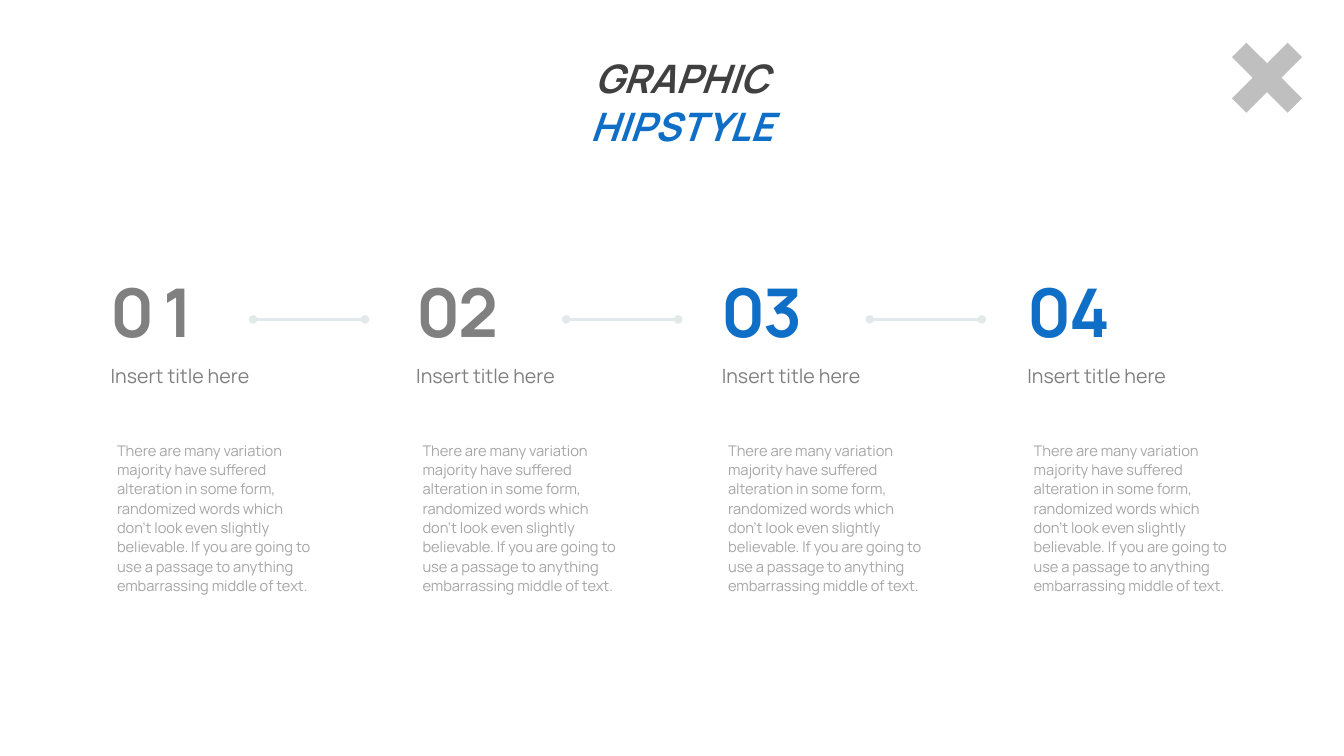
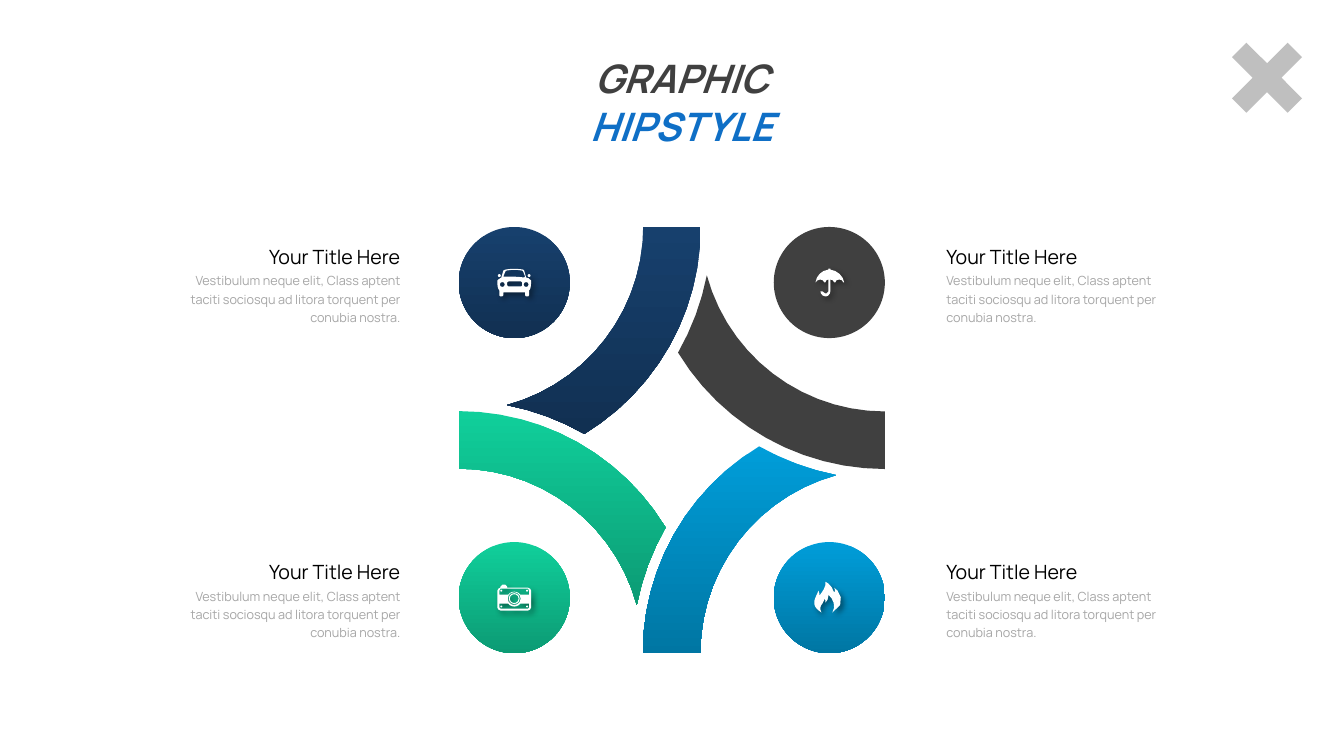
from dataclasses import dataclass
from math import acos, cos, degrees, dist, radians, sin

from lxml.etree import SubElement
from pptx import Presentation
from pptx.dml.color import RGBColor
from pptx.enum.shapes import MSO_CONNECTOR, MSO_SHAPE
from pptx.enum.text import MSO_ANCHOR, MSO_AUTO_SIZE, PP_ALIGN
from pptx.oxml.ns import qn
from pptx.util import Cm, Pt


@dataclass(frozen=True)
class Theme:
    font: str = "Manrope"
    black: str = "000000"
    charcoal: str = "404040"
    gray: str = "808080"
    body: str = "A6A6A6"
    mark: str = "BFBFBF"
    line: str = "E1E9EA"
    white: str = "FFFFFF"
    accent: str = "0F6FC6"
    navy: tuple = ("17406D", "113052")
    green: tuple = ("10CF9B", "0C9B74")
    blue: tuple = ("009DD9", "0076A3")
    title_size: float = 28
    number_size: float = 48
    heading_size: float = 14
    text_size: float = 10.5
    caption_size: float = 9


THEME = Theme()
STEP_TEXT = (
    "There are many variation majority have suffered alteration in some form, "
    "randomized words which don't look even slightly believable. If you are going "
    "to use a passage to anything embarrassing middle of text."
)
CAPTION_TEXT = (
    "Vestibulum neque elit, Class aptent taciti sociosqu ad litora torquent "
    "per conubia nostra."
)
STEPS = [
    ("01", THEME.gray, 600, 3.84),
    ("02", THEME.gray, -150, 4.03),
    ("03", THEME.accent, -150, 3.98),
    ("04", THEME.accent, -150, None),
]


def arc(x, y, radius, start, end, count):
    angles = [radians(start + (end - start) * i / count) for i in range(count + 1)]
    return [(x + radius * cos(a), y + radius * sin(a)) for a in angles]


def circle(x, y, radius):
    return arc(x, y, radius, 0, 360, 6 + round(radius))[:-1]


def bezier(start, first, second, end):
    count = max(1, min(4, round(dist(start, end) / 2.5)))
    points = []
    for i in range(1, count + 1):
        t = i / count
        weights = ((1 - t) ** 3, 3 * t * (1 - t) ** 2, 3 * t * t * (1 - t), t**3)
        corners = (start, first, second, end)
        points.append(tuple(sum(w * c[k] for w, c in zip(weights, corners)) for k in (0, 1)))
    return points


def outline(commands):
    points = []
    for command in commands.replace("C", "|C").replace("L", "|L").split("|"):
        values = [float(value) for value in command[1:].split()]
        pairs = list(zip(values[::2], values[1::2]))
        if command[0] != "C":
            points += pairs
        else:
            points += bezier(points[-1], *pairs)
    return points


CAR = [
    outline(
        "M -17 -2 L -16 -3 -13 -5 -11 -12 -9 -13 C -5 -14 5 -14 9 -13 "
        "L 10 -12 12 -5 C 13 -5 16 -4 17 -2 C 17 1 17 7 15 8 "
        "L 15 13 14 14 12 14 11 13 11 10 -11 10 -11 13 -12 14 -14 14 -15 13 -15 8 "
        "C -17 6 -17 2 -17 -2"
    ),
    outline("M -11 -6 L -9 -11 -8 -12 C -3 -13 3 -13 8 -12 L 9 -11 11 -6 10 -5 C 4 -6 -4 -6 -11 -6"),
    outline("M -6 -1 L 7 -1 8 0 8 3 7 4 -6 4 -7 3 -7 0"),
    *[circle(side * 12, 2, 2.5) for side in (-1, 1)],
    *[circle(side * 15, -7, 1.5) for side in (-1, 1)],
]
UMBRELLA = [
    outline(
        "M 15 0 C 14 -7 8 -12 1 -13 L 1 -14 -1 -14 -1 -13 C -8 -12 -13 -7 -14 0 "
        "C -13 -2 -11 -3 -9 -3 C -7 -3 -6 -2 -5 0 L -4 0 C -4 -2 -2 -3 -1 -3 "
        "L -1 9 C -1 10 -2 11 -3 11 L -4 11 C -6 11 -7 10 -7 9 L -9 9 "
        "C -9 11 -7 14 -4 14 L -3 14 C -1 14 1 11 1 9 L 1 -3 C 3 -3 4 -2 5 0 "
        "L 6 0 C 6 -2 8 -3 10 -3 C 12 -3 14 -2 14 0"
    )
]
FLAME = [
    outline(
        "M -8 15 C -10 11 -9 8 -7 6 C -5 3 -5 1 -5 1 C -5 1 -3 3 -4 5 "
        "C -1 3 -1 -2 -1 -3 C 4 1 7 9 3 15 C 20 6 8 -9 5 -10 C 6 -9 6 -6 5 -5 "
        "C 2 -14 -4 -16 -4 -16 C -3 -11 -7 -6 -10 -2 C -10 -4 -10 -5 -11 -7 "
        "C -12 -4 -14 -1 -15 3 C -16 8 -14 11 -8 15"
    )
]
CAMERA = [
    outline(
        "M 14 -10 L -7 -10 -7 -11 -9 -13 -12 -13 -14 -11 -14 -10 "
        "-16 -9 -17 -7 -17 10 -16 12 -14 13 14 13 16 12 17 10 17 -7 16 -9"
    ),
    outline("M -14 -9 L 14 -9 15 -7 15 -3 6 -3 C 5 -5 2 -6 0 -6 C -2 -6 -5 -5 -6 -3 L -15 -3 -15 -7"),
    outline("M 14 11 L -14 11 -15 10 -15 6 -6 6 C -5 8 -2 9 0 9 C 2 9 5 8 6 6 L 15 6 15 10"),
    *[circle(0, 1, radius) for radius in (6.5, 5.5, 4.5)],
    *[circle(x, y, 1) for x in (-13, 13) for y in (-7, 9)],
]


def paint(shape, fill):
    shape.shadow.inherit = False
    shape.line.fill.background()
    if isinstance(fill, str):
        shape.fill.solid()
        shape.fill.fore_color.rgb = RGBColor.from_string(fill)
        return
    shape.fill.gradient()
    shape.fill.gradient_angle = 270
    for stop, color in zip(shape.fill.gradient_stops, fill):
        stop.color.rgb = RGBColor.from_string(color)


def style_run(run, size, color, bold=False, italic=False):
    run.font.name = THEME.font
    run.font.size = Pt(size)
    run.font.bold = bold
    run.font.italic = italic
    run.font.color.rgb = RGBColor.from_string(color)


def set_frame(frame, inset=0.13):
    frame.word_wrap = True
    frame.auto_size = MSO_AUTO_SIZE.NONE
    frame.vertical_anchor = MSO_ANCHOR.TOP
    frame.margin_left = frame.margin_right = Cm(0.25)
    frame.margin_top = frame.margin_bottom = Cm(inset)


def add_text(slide, box, text, size, color, spacing=1.0, align=PP_ALIGN.LEFT, bold=False, inset=0.13):
    frame = slide.shapes.add_textbox(*map(Cm, box)).text_frame
    set_frame(frame, inset)
    frame.text = text
    paragraph = frame.paragraphs[0]
    paragraph.alignment = align
    paragraph.line_spacing = spacing
    style_run(paragraph.runs[0], size, color, bold)
    return paragraph.runs[0]


def add_outline(slide, contours, fill, x=0, y=0, unit=1):
    contours = [[(Cm(x + px * unit), Cm(y + py * unit)) for px, py in points] for points in contours]
    builder = slide.shapes.build_freeform(*contours[0][0])
    for index, points in enumerate(contours):
        if index:
            builder.move_to(*points[0])
        builder.add_line_segments(points[1:], close=True)
    shape = builder.convert_to_shape()
    paint(shape, fill)
    return shape


def add_icon(slide, contours, x, y):
    shape = add_outline(slide, contours, THEME.white, x, y, 1 / 40)
    effects = shape._element.spPr.find(qn("a:effectLst"))
    shadow = SubElement(
        effects, qn("a:outerShdw"), blurRad=str(Pt(4)), dist=str(Pt(3)),
        dir="2700000", algn="tl", rotWithShape="0",
    )
    color = SubElement(shadow, qn("a:srgbClr"), val=THEME.black)
    SubElement(color, qn("a:alpha"), val="40000")


def add_titled_slide(presentation):
    slide = presentation.slides.add_slide(presentation.slide_layouts[5])
    title = slide.shapes.title
    title.left, title.top, title.width, title.height = map(Cm, (12.4, 1.25, 9.55, 2.62))
    set_frame(title.text_frame)
    paragraph = title.text_frame.paragraphs[0]
    paragraph.alignment = PP_ALIGN.CENTER
    for text, color in (("GRAPHIC", THEME.charcoal), (" HIPSTYLE", THEME.accent)):
        run = paragraph.add_run()
        run.text = text
        style_run(run, THEME.title_size, color, bold=True, italic=True)
    cross = slide.shapes.add_shape(MSO_SHAPE.CROSS, *map(Cm, (30.94, 0.97, 1.98, 1.98)))
    cross.adjustments[0] = 0.37
    cross.rotation = 45
    paint(cross, THEME.mark)
    return slide


def add_link(slide, left, top, length):
    link = slide.shapes.add_connector(
        MSO_CONNECTOR.STRAIGHT, Cm(left), Cm(top), Cm(left + length), Cm(top)
    )
    link.line.width = Pt(2)
    link.line.color.rgb = RGBColor.from_string(THEME.line)
    line = link.line._get_or_add_ln()
    for end in ("a:headEnd", "a:tailEnd"):
        SubElement(line, qn(end), type="oval")
    SubElement(link._element.spPr, qn("a:effectLst"))


def add_step(slide, left, top, number, color, tracking, link_offset):
    run = add_text(
        slide, (left, top, 3.07, 2.03), number, THEME.number_size, color, bold=True, inset=0
    )
    run.font._element.set("spc", str(tracking))
    add_text(
        slide, (left, top + 2.23, 4.32, 0.84), "Insert title here", THEME.heading_size, THEME.gray
    )
    add_text(
        slide, (left + 0.16, top + 4.14, 5.44, 4.65), STEP_TEXT, THEME.text_size, THEME.body, 1.1
    )
    if link_offset is not None:
        add_link(slide, left + link_offset, top + 1.24, 2.82)


def add_caption(slide, left, top, width, align):
    add_text(
        slide, (left, top, width, 0.97), "Your Title Here", THEME.heading_size, THEME.black, 1.2, align
    )
    text_left = left + 0.1 if align == PP_ALIGN.RIGHT else left
    add_text(
        slide, (text_left, top + 0.76, width - 0.1, 1.63), CAPTION_TEXT,
        THEME.caption_size, THEME.body, 1.2, align,
    )


def arm_points(side, inner=4.65, outer=6.1, cut=6.37):
    def crossing(radius, other):
        return degrees(acos((radius**2 + side**2 - other**2) / (2 * radius * side)))

    return (
        arc(0, 0, outer, 0, 90 - crossing(outer, cut), 12)
        + arc(0, side, cut, crossing(cut, outer) - 90, crossing(cut, inner) - 90, 4)[1:]
        + arc(0, 0, inner, 90 - crossing(inner, cut), 0, 14)[1:]
    )


def add_pinwheel(slide, left, top, side, disc=2.8):
    half = side / 2
    arm = [(x - half, y - half) for x, y in arm_points(side)]
    center = (disc / 2 - half, disc / 2 - half)
    parts = ((THEME.navy, CAR), (THEME.green, CAMERA), (THEME.blue, FLAME), (THEME.charcoal, UMBRELLA))
    for fill, icon in parts:
        add_outline(slide, [arm], fill, left + half, top + half)
        x, y = left + half + center[0], top + half + center[1]
        badge = slide.shapes.add_shape(
            MSO_SHAPE.OVAL, Cm(x - disc / 2), Cm(y - disc / 2), Cm(disc), Cm(disc)
        )
        paint(badge, fill)
        add_icon(slide, icon, x, y)
        arm = [(py, -px) for px, py in arm]
        center = (center[1], -center[0])


def build_steps(presentation):
    slide = add_titled_slide(presentation)
    for index, step in enumerate(STEPS):
        add_step(slide, 2.54 + 7.7 * index, 6.81, *step)


def build_cycle(presentation):
    slide = add_titled_slide(presentation)
    for top in (5.92, 13.87):
        for left, align in ((4.42, PP_ALIGN.RIGHT), (23.6, PP_ALIGN.LEFT)):
            add_caption(slide, left, top, 5.92, align)
    add_pinwheel(slide, 11.56, 5.72, 10.74)


def main():
    presentation = Presentation()
    presentation.slide_width, presentation.slide_height = Cm(33.87), Cm(19.05)
    build_steps(presentation)
    build_cycle(presentation)
    presentation.save("out.pptx")


if __name__ == "__main__":
    main()
